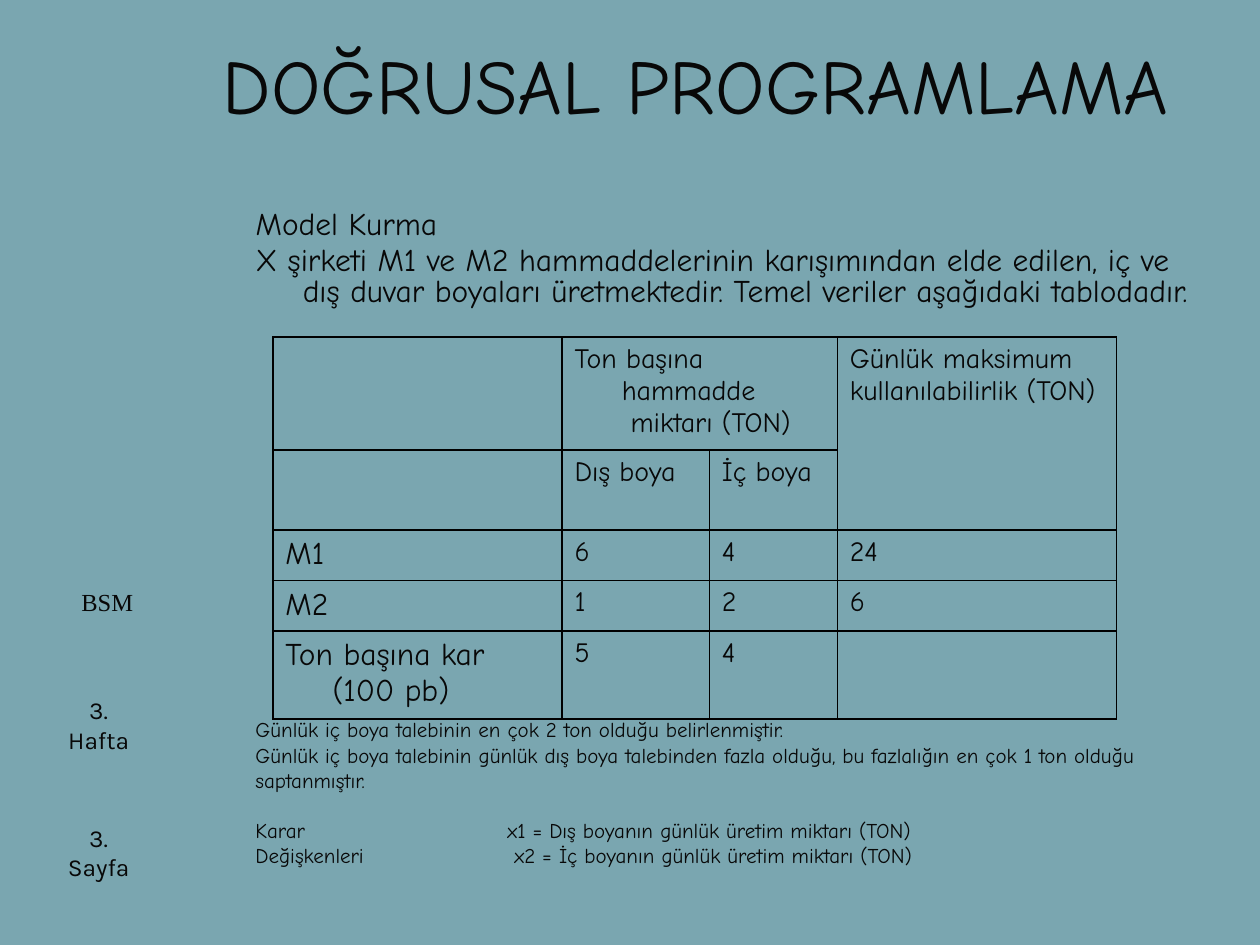
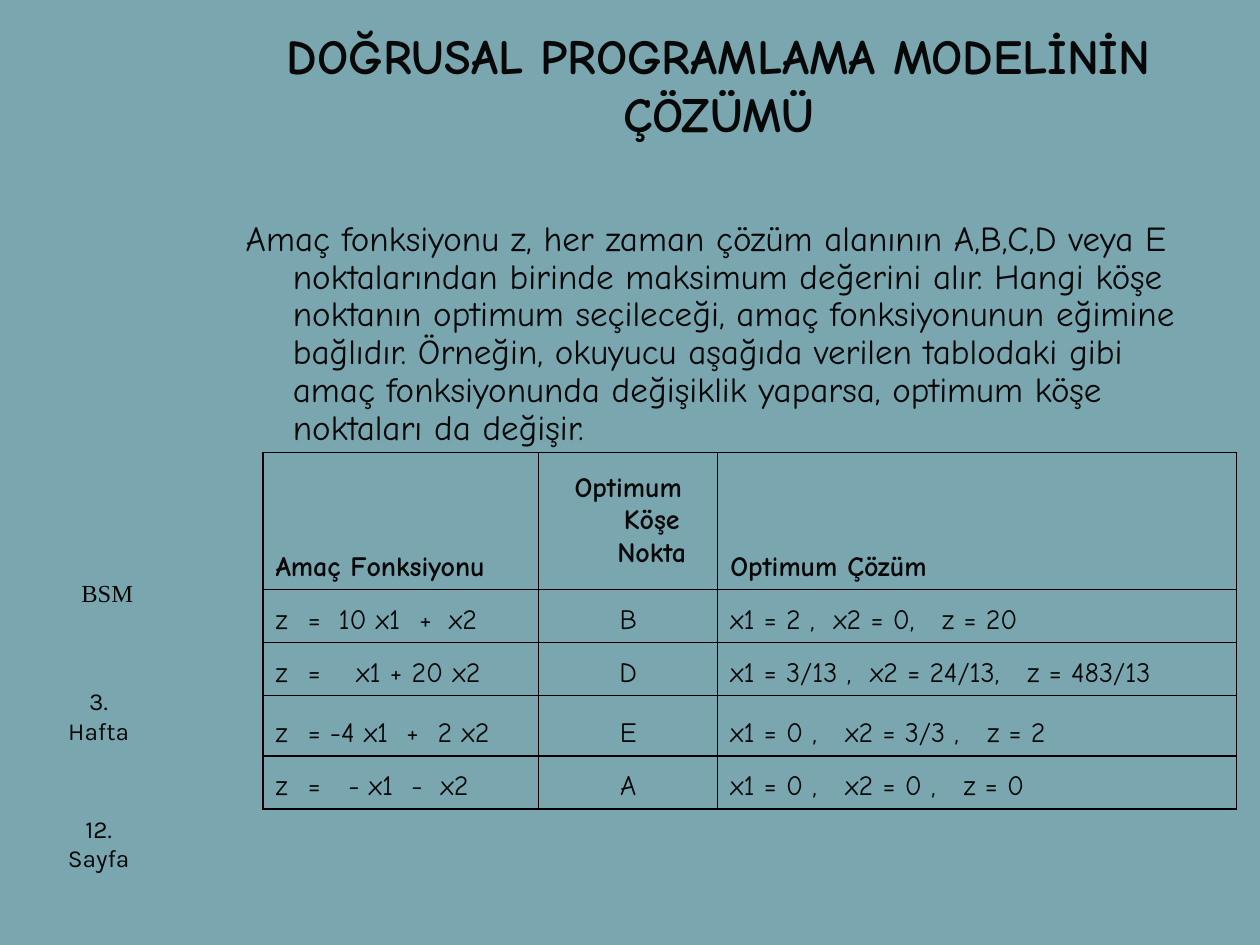
import dataclasses

import lxml.etree
import pptx
import pptx.dml.color
import pptx.enum.text
import pptx.oxml.ns
import pptx.util

Cm = pptx.util.Cm
Pt = pptx.util.Pt
Align = pptx.enum.text.PP_ALIGN
Anchor = pptx.enum.text.MSO_ANCHOR
qualified = pptx.oxml.ns.qn


@dataclasses.dataclass(frozen=True)
class Theme:
    background: str = "7AA6B0"
    text: str = "080808"
    border: str = "000000"
    font: str = "Comic Neue"
    label_font: str = "Karla"
    course_font: str = "Times New Roman"
    title: int = 44
    long_title: int = 28
    body: int = 18
    long_body: int = 20
    table: int = 16
    label: int = 14
    note: int = 12
    hanging: float = 0.95


THEME = Theme()


@dataclasses.dataclass(frozen=True)
class Line:
    text: str
    size: int = THEME.table
    font: str = THEME.font
    bold: bool = False
    align: Align = Align.LEFT
    left: float = 0
    first: float = 0
    spacing: float = 1.0
    before: float = 0
    tabs: tuple = ()


def hanging_line(text, **options):
    return Line(text, left=THEME.hanging, first=-THEME.hanging, **options)


def write_paragraph(paragraph, line):
    properties = paragraph._p.get_or_add_pPr()
    lxml.etree.SubElement(properties, qualified("a:buNone"))
    if line.tabs:
        tab_list = lxml.etree.SubElement(properties, qualified("a:tabLst"))
        for position in line.tabs:
            lxml.etree.SubElement(
                tab_list, qualified("a:tab"), pos=str(Cm(position)), algn="l"
            )
    else:
        properties.set("marL", str(Cm(line.left)))
        properties.set("indent", str(Cm(line.first)))
    paragraph.alignment = line.align
    paragraph.line_spacing = line.spacing
    paragraph.space_before = Pt(line.before)
    run = paragraph.add_run()
    run.text = line.text
    run.font.size = Pt(line.size)
    run.font.name = line.font
    run.font.bold = line.bold
    run.font.color.rgb = pptx.dml.color.RGBColor.from_string(THEME.text)


def write_lines(text_frame, lines):
    for index, line in enumerate(lines):
        paragraph = text_frame.add_paragraph() if index else text_frame.paragraphs[0]
        write_paragraph(paragraph, line)


def fill_placeholder(shape, box, lines, anchor):
    shape.left, shape.top, shape.width, shape.height = map(Cm, box)
    shape.text_frame.auto_size = pptx.enum.text.MSO_AUTO_SIZE.NONE
    shape.text_frame.vertical_anchor = anchor
    write_lines(shape.text_frame, lines)


def add_text(slide, box, *lines):
    shape = slide.shapes.add_textbox(*map(Cm, box))
    shape.text_frame.word_wrap = True
    write_lines(shape.text_frame, lines)


def add_side_labels(slide, page, top):
    add_text(slide, (1.39, top, 1.57, 0.86),
             Line("BSM", THEME.label, THEME.course_font))
    for text, offset in (("3. Hafta", 2.18), (page, 4.75)):
        add_text(slide, (1, top + offset, 1.98, 1.6),
                 Line(text, THEME.label, THEME.label_font, align=Align.CENTER))


def add_content_slide(presentation, title, body_box, body, page, label_top):
    slide = presentation.slides.add_slide(presentation.slide_layouts[1])
    fill_placeholder(slide.shapes.title, (4.24, 0.2, 20.5, 2.98), [title], Anchor.MIDDLE)
    fill_placeholder(slide.placeholders[1], body_box, body, Anchor.TOP)
    add_side_labels(slide, page, label_top)
    return slide


def format_cell(cell):
    cell.fill.background()
    properties = cell._tc.get_or_add_tcPr()
    for index, side in enumerate(("lnL", "lnR", "lnT", "lnB")):
        border = lxml.etree.Element(qualified(f"a:{side}"), w=str(Pt(1)))
        fill = lxml.etree.SubElement(border, qualified("a:solidFill"))
        lxml.etree.SubElement(fill, qualified("a:srgbClr"), val=THEME.border)
        properties.insert(index, border)


def add_table(slide, left, top, widths, heights, rows, anchor):
    table = slide.shapes.add_table(
        len(heights), len(widths), Cm(left), Cm(top), Cm(sum(widths)), Cm(sum(heights))
    ).table
    table.first_row = False
    table.horz_banding = False
    for column, width in zip(table.columns, widths):
        column.width = Cm(width)
    for row, height in zip(table.rows, heights):
        row.height = Cm(height)
    for row_index, row in enumerate(rows):
        for column_index, lines in enumerate(row):
            cell = table.cell(row_index, column_index)
            format_cell(cell)
            cell.vertical_anchor = anchor
            write_lines(cell.text_frame, lines)
    return table


def add_model_slide(presentation):
    body_style = {"size": THEME.body, "spacing": 0.8}
    slide = add_content_slide(
        presentation,
        Line("DOĞRUSAL PROGRAMLAMA", THEME.title),
        (4.9, 4.13, 19.81, 2.44),
        [
            hanging_line("Model Kurma", **body_style),
            hanging_line(
                "X şirketi M1 ve M2 hammaddelerinin karışımından elde edilen, iç ve "
                "dış duvar boyaları üretmektedir. Temel veriler aşağıdaki tablodadır.",
                before=3.6, **body_style),
        ],
        "3. Sayfa", 11.71,
    )
    rows = [
        [[],
         [hanging_line("Ton başına hammadde"), Line("miktarı (TON)", left=1.13)],
         [],
         [Line("Günlük maksimum"), Line("kullanılabilirlik (TON)")]],
        [[], [Line("Dış boya")], [Line("İç boya")], []],
    ]
    for name, *values in (
        ("M1", "6", "4", "24"),
        ("M2", "1", "2", "6"),
        ("Ton başına kar (100 pb)", "5", "4", ""),
    ):
        rows.append([[hanging_line(name, size=THEME.body)]]
                    + [[Line(value)] if value else [] for value in values])
    table = add_table(slide, 5.5, 6.79, (5.83, 2.97, 2.58, 5.63),
                      (2.14, 1.5, 0.96, 0.96, 1.68), rows, Anchor.TOP)
    table.cell(0, 1).merge(table.cell(0, 2))
    table.cell(0, 3).merge(table.cell(1, 3))
    add_text(
        slide, (4.9, 14.33, 20.5, 3.84),
        Line("Günlük iç boya talebinin en çok 2 ton olduğu belirlenmiştir.", THEME.note),
        Line("Günlük iç boya talebinin günlük dış boya talebinden fazla olduğu, "
             "bu fazlalığın en çok 1 ton olduğu saptanmıştır.", THEME.note),
        Line("Karar\tx1 = Dış boyanın günlük üretim miktarı (TON)", THEME.note,
             before=14.4, tabs=(5.08,)),
        Line("Değişkenleri\tx2 = İç boyanın günlük üretim miktarı (TON)", THEME.note,
             tabs=(5.22,)),
    )


def add_solution_slide(presentation):
    slide = add_content_slide(
        presentation,
        Line("DOĞRUSAL PROGRAMLAMA MODELİNİN ÇÖZÜMÜ", THEME.long_title,
             bold=True, align=Align.CENTER),
        (4.7, 4.33, 19.61, 6.6),
        [hanging_line(
            "Amaç fonksiyonu z, her zaman çözüm alanının A,B,C,D veya E noktalarından "
            "birinde maksimum değerini alır. Hangi köşe noktanın optimum seçileceği, "
            "amaç fonksiyonunun eğimine bağlıdır. Örneğin, okuyucu aşağıda verilen "
            "tablodaki gibi amaç fonksiyonunda değişiklik yaparsa, optimum köşe "
            "noktaları da değişir.", size=THEME.long_body, spacing=0.9)],
        "12. Sayfa", 11.53,
    )
    rows = [[
        [Line("Amaç Fonksiyonu", bold=True)],
        [hanging_line("Optimum Köşe Nokta", bold=True, align=Align.CENTER)],
        [Line("Optimum Çözüm", bold=True)],
    ]]
    for objective, objective_tabs, corner, solution, solution_tabs in (
        ("z\t=\t10 x1\t+\tx2", (0.65, 1.27, 2.9, 3.5), "B",
         "x1 = 2 ,\tx2 = 0,\tz = 20", (2.08, 4.27)),
        ("z\t=\tx1 + 20 x2", (0.65, 1.63), "D",
         "x1 = 3/13 ,\tx2 = 24/13,\tz = 483/13", (2.82, 5.99)),
        ("z\t= -4 x1\t+\t2 x2", (0.65, 2.64, 3.27), "E",
         "x1 = 0 ,\tx2 = 3/3 ,\tz = 2", (2.32, 5.18)),
        ("z\t=\t- x1\t-\tx2", (0.65, 1.47, 2.74, 3.33), "A",
         "x1 = 0 ,\tx2 = 0 ,\tz = 0", (2.32, 4.7)),
    ):
        rows.append([
            [Line(objective, tabs=objective_tabs)],
            [Line(corner, align=Align.CENTER)],
            [Line(solution, tabs=solution_tabs)],
        ])
    table = add_table(slide, 5.3, 9.12, (5.56, 3.61, 10.46),
                      (2.76, 1.07, 1.07, 1.22, 1.07), rows, Anchor.BOTTOM)
    table.cell(0, 1).vertical_anchor = Anchor.MIDDLE


def main():
    presentation = pptx.Presentation()
    presentation.slide_width = Cm(25.4)
    presentation.slide_height = Cm(19.05)
    background = presentation.slide_master.background.fill
    background.solid()
    background.fore_color.rgb = pptx.dml.color.RGBColor.from_string(THEME.background)
    add_model_slide(presentation)
    add_solution_slide(presentation)
    presentation.save("out.pptx")


if __name__ == "__main__":
    main()
